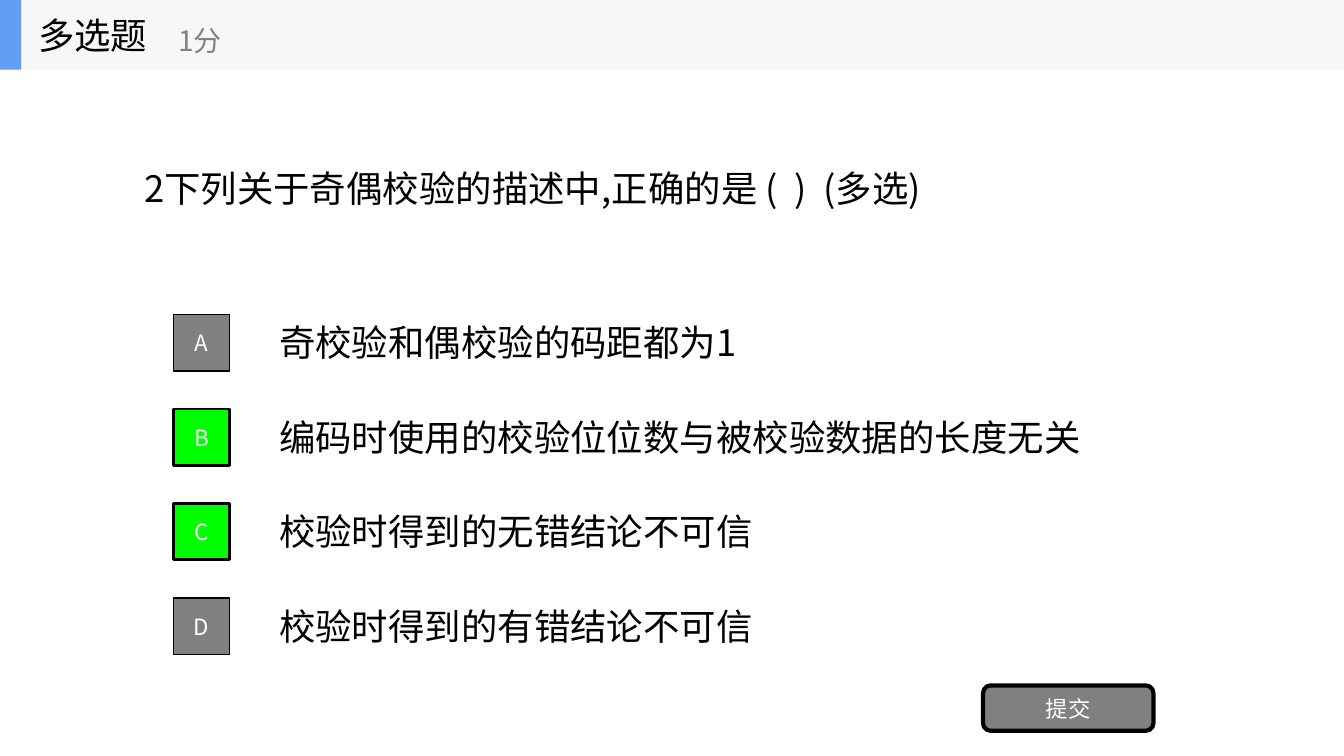
"""Build a multiple-choice quiz slide about parity checks."""
from lxml.etree import SubElement
from pptx import Presentation
from pptx.dml.color import RGBColor as RGB
from pptx.enum.shapes import MSO_SHAPE as SHAPE
from pptx.enum.text import MSO_ANCHOR as ANCHOR, MSO_AUTO_SIZE as FIT, PP_ALIGN as ALIGN
from pptx.oxml.ns import qn
from pptx.util import Inches, Pt

COLORS = {"black": "000000", "white": "FFFFFF", "gray": "808080",
          "green": "00FF00", "band": "F6F7F8", "accent": "639EF4"}
OPTIONS = [("A", "奇校验和偶校验的码距都为1", 4.85, False),
           ("B", "编码时使用的校验位位数与被校验数据的长度无关", 8.25, True),
           ("C", "校验时得到的无错结论不可信", 5, True),
           ("D", "校验时得到的有错结论不可信", 5, False)]


def write(sp, text, size=26, color="black", align=ALIGN.LEFT, wrap=True,
          fit=FIT.NONE, font="Noto Sans CJK SC"):
    tf = sp.text_frame
    tf.word_wrap = wrap
    tf.auto_size = fit
    tf.vertical_anchor = ANCHOR.MIDDLE
    p = tf.paragraphs[0]
    p.alignment = align
    r = p.add_run()
    r.text = text
    r.font.size = Pt(size)
    r.font.color.rgb = RGB.from_string(COLORS[color])
    r.font.name = font
    SubElement(r.font._element, qn("a:ea"), typeface=font)


class QuizSlide:
    def __init__(self, prs):
        self.s = prs.slides.add_slide(prs.slide_layouts[6])
        self.shapes = self.s.shapes

    def start_group(self):
        self.shapes = self.s.shapes.add_group_shape().shapes

    def text(self, box, text, **style):
        sp = self.shapes.add_textbox(*map(Inches, box))
        write(sp, text, **style)

    def block(self, box, fill, kind=SHAPE.RECTANGLE, line=None):
        sp = self.shapes.add_shape(kind, *map(Inches, box))
        sp.shadow.inherit = False
        sp.fill.solid()
        sp.fill.fore_color.rgb = RGB.from_string(COLORS[fill])
        if line:
            sp.line.color.rgb = RGB.from_string(COLORS["black"])
            sp.line.width = Pt(line)
        else:
            sp.line.fill.background()
        return sp

    def button(self, box, label, fill, line, kind=SHAPE.RECTANGLE):
        sp = self.block(box, fill, kind, line)
        write(sp, label, size=16, color="white", align=ALIGN.CENTER)

    def option(self, top, letter, answer, width, correct):
        self.text((2.67, top + 0.01, width, 0.53), answer, fit=FIT.SHAPE_TO_FIT_TEXT)
        fill, line = ("green", 2) if correct else ("gray", 1)
        self.button((1.72, top, 0.56, 0.56), letter, fill, line)


def main():
    prs = Presentation()
    prs.slide_width, prs.slide_height = Inches(13.33), Inches(7.5)
    quiz = QuizSlide(prs)
    quiz.text((1.33, 1.6, 8.12, 0.53), "2下列关于奇偶校验的描述中,正确的是 (  )  (多选)",
              fit=FIT.SHAPE_TO_FIT_TEXT)
    for i, (letter, answer, width, correct) in enumerate(OPTIONS):
        quiz.option(3.12 + 0.937 * i, letter, answer, width, correct)
    quiz.button((9.75, 6.8, 1.69, 0.45), "提交", "gray", 3, SHAPE.ROUNDED_RECTANGLE)

    quiz.start_group()
    quiz.block((0, 0, 13.33, 0.69), "band")
    quiz.block((0, 0, 0.21, 0.69), "accent")
    quiz.text((0.28, 0, 2.08, 0.69), "多选题", wrap=False)
    quiz.text((1.67, 0.12, 2.5, 0.56), "1分", size=20, color="gray", wrap=False)
    prs.save("out.pptx")


if __name__ == "__main__":
    main()
